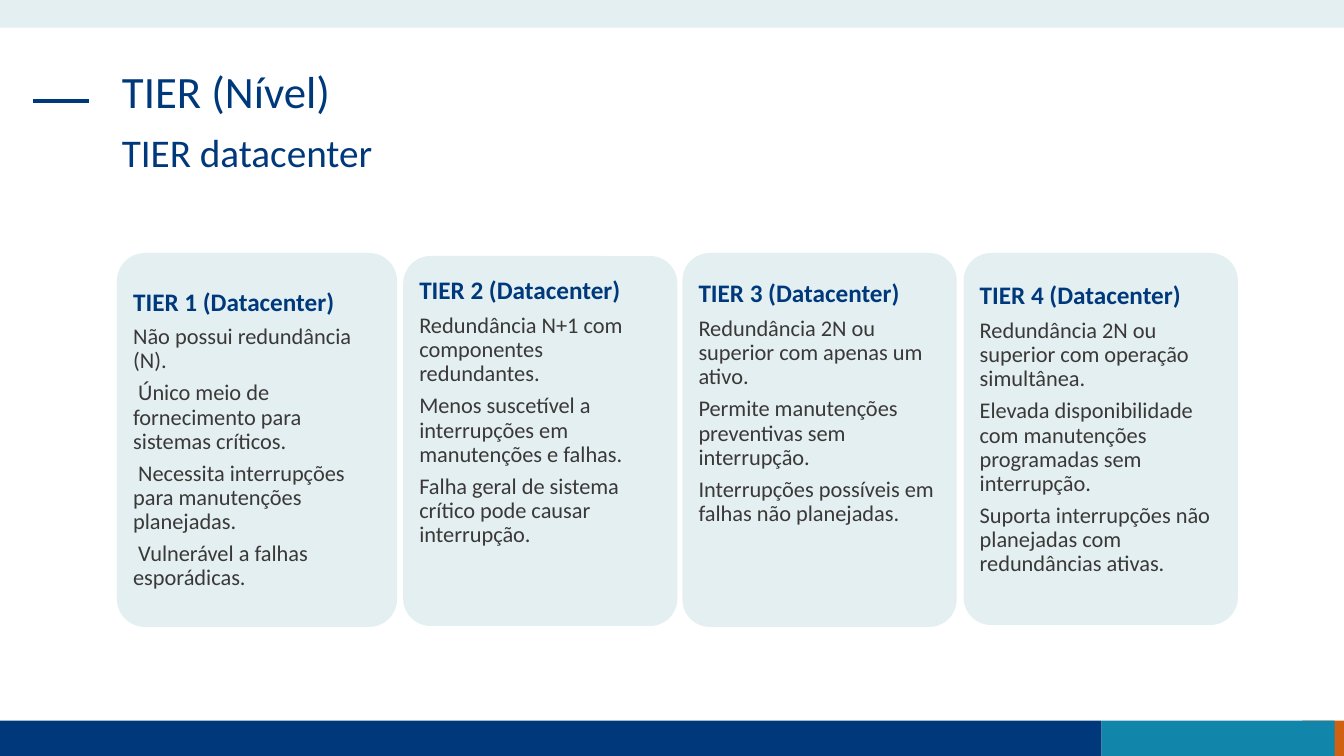
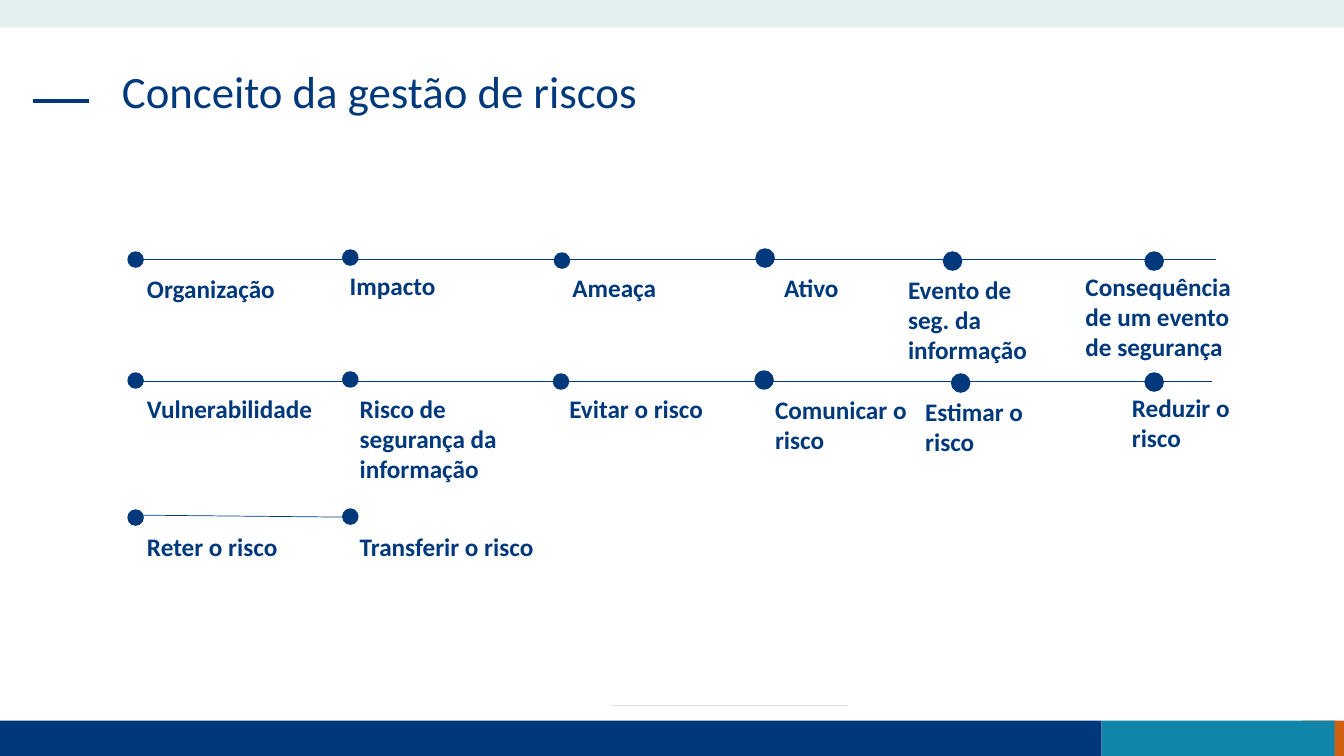
from dataclasses import dataclass
from typing import Any

import lxml.etree
import pptx
import pptx.dml.color
import pptx.enum.shapes
import pptx.enum.text
import pptx.oxml.ns
import pptx.util

# The grid has square cells of a tenth of an inch.
CELL = pptx.util.Inches(0.1)
COLUMNS, ROWS = 133.33, 75

COLORS = {
    "navy": "00397B",
    "teal": "1185AA",
    "orange": "D06110",
    "mist": "E3EFF1",
    "graphite": "3B3838",
    "rule": "DCE3EA",
}
FONT = "Calibri"
SHAPE = pptx.enum.shapes.MSO_SHAPE
ANCHOR = pptx.enum.text.MSO_ANCHOR
AUTO_SIZE = pptx.enum.text.MSO_AUTO_SIZE
LEFT = pptx.enum.text.PP_ALIGN.LEFT

HEADING_STYLE = {"line_spacing": 0.9, "alignment": LEFT}
LABEL_STYLE = {"alignment": LEFT}
CARD_INSETS = {"margin_left": 0.8 * CELL, "margin_right": 0.6 * CELL, "margin_top": 0}


@dataclass(frozen=True)
class Area:
    """A place on the grid, in columns and rows."""
    column: float
    row: float
    width: float
    height: float


@dataclass(frozen=True)
class Band:
    area: Area
    color: str


@dataclass(frozen=True)
class Tier:
    """A card whose text is raised above the middle by some rows."""
    heading: str
    points: tuple[str, ...]
    area: Area
    raised: float = 0
    first_line_indent: float = 0


@dataclass(frozen=True)
class Concept:
    label: str
    dot: tuple[float, float]
    label_at: tuple[float, float]
    label_width: float
    lines: int = 1
    dot_size: float = 1.5


@dataclass(frozen=True)
class Track:
    start: tuple[float, float]
    end: tuple[float, float]
    concepts: tuple[Concept, ...]


FOOTER_ROW, FOOTER_HEIGHT = 71.5, 3.5
BANDS = (
    Band(Area(129.2, FOOTER_ROW, 4.13, FOOTER_HEIGHT), "orange"),
    Band(Area(0, FOOTER_ROW, 109.3, FOOTER_HEIGHT), "navy"),
    Band(Area(109.3, FOOTER_ROW, 23.1, FOOTER_HEIGHT), "teal"),
    Band(Area(0, 0, COLUMNS, 2.75), "mist"),
)
TITLE_AREA = Area(11.1, 6.4, 111, 9.4)
SUBTITLE_AREA = Area(11.1, 12.8, 87.5, 5.9)

TIERS = (
    Tier("TIER 1 (Datacenter)", (
        "Não possui redundância (N).",
        "Único meio de fornecimento para sistemas críticos.",
        "Necessita interrupções para manutenções planejadas.",
        "Vulnerável a falhas esporádicas.",
    ), Area(11.6, 25.1, 27.8, 37.1), first_line_indent=0.5),
    Tier("TIER 2 (Datacenter)", (
        "Redundância N+1 com componentes redundantes.",
        "Menos suscetível a interrupções em manutenções e falhas.",
        "Falha geral de sistema crítico pode causar interrupção.",
    ), Area(40, 25.4, 27.2, 36.7), raised=2.8),
    Tier("TIER 3 (Datacenter)", (
        "Redundância 2N ou superior com apenas um ativo.",
        "Permite manutenções preventivas sem interrupção.",
        "Interrupções possíveis em falhas não planejadas.",
    ), Area(67.7, 25.1, 27.2, 37.1), raised=3.6),
    Tier("TIER 4 (Datacenter)", (
        "Redundância 2N ou superior com operação simultânea.",
        "Elevada disponibilidade com manutenções programadas sem interrupção.",
        "Suporta interrupções não planejadas com redundâncias ativas.",
    ), Area(95.6, 25.1, 27.2, 36.9), raised=0.9),
)

TRACKS = (
    Track((13.5, 25.7), (120.6, 25.7), (
        Concept("Organização", (12.7, 25), (13.6, 26.6), 24.8),
        Concept("Impacto", (34, 24.8), (33.7, 26.3), 12.2),
        Concept("Ameaça", (55, 25.1), (55.8, 26.5), 11.4),
        Concept("Ativo", (75, 24.7), (76.8, 26.5), 10.3, dot_size=1.8),
        Concept("Evento de seg. da informação", (93.6, 25), (89.1, 26.7), 15.8, 3, 1.8),
        Concept("Consequência de um evento de segurança", (113.6, 25), (106.7, 26.4),
                16.6, 3, 1.8),
    )),
    Track((13.1, 37.8), (120.2, 37.8), (
        Concept("Vulnerabilidade", (12.7, 37), (13.6, 38.5), 20.4),
        Concept("Risco de segurança da informação", (34, 36.9), (34.7, 38.5), 18.1, 3),
        Concept("Evitar o risco", (54.9, 37.1), (55.5, 38.5), 17),
        Concept("Comunicar o risco", (74.9, 36.8), (75.9, 38.6), 15.5, 2, 1.8),
        Concept("Estimar o risco", (94.4, 37.1), (90.8, 38.8), 17, 2, 1.8),
        Concept("Reduzir o risco", (113.6, 37), (111.3, 38.4), 11.9, 2, 1.8),
    )),
    Track((13.1, 51.1), (34, 51.3), (
        Concept("Reter o risco", (12.7, 50.6), (13.6, 52.2), 20.4),
        Concept("Transferir o risco", (34, 50.5), (34.7, 52.2), 20.2),
    )),
)


def cells(count: float) -> int:
    return round(count * CELL)


def rgb(color: str) -> Any:
    return pptx.dml.color.RGBColor.from_string(COLORS[color])


def apply(target: Any, values: dict[str, Any]) -> None:
    for attribute, value in values.items():
        setattr(target, attribute, value)


def box(area: Area) -> tuple[int, ...]:
    return tuple(map(cells, (area.column, area.row, area.width, area.height)))


def write(paragraph: Any, text: str, size: float, color: str,
          style: dict[str, Any], bold: bool = False) -> None:
    run = paragraph.add_run()
    run.text = text
    apply(paragraph, style)
    apply(run.font, {"name": FONT, "size": pptx.util.Pt(size), "bold": bold})
    run.font.color.rgb = rgb(color)


def draw_shape(slide: Any, kind: Any, area: Area, color: str) -> Any:
    shape = slide.shapes.add_shape(kind, *box(area))
    shape.shadow.inherit = False
    shape.fill.solid()
    shape.fill.fore_color.rgb = rgb(color)
    shape.line.fill.background()
    return shape


def draw_line(slide: Any, start: tuple[float, float], end: tuple[float, float],
              color: str, weight: float) -> None:
    line = slide.shapes.add_connector(
        pptx.enum.shapes.MSO_CONNECTOR.STRAIGHT, *map(cells, start + end))
    line.line.color.rgb = rgb(color)
    line.line.width = pptx.util.Pt(weight)
    lxml.etree.SubElement(line.element.spPr, pptx.oxml.ns.qn("a:effectLst"))


def draw_text(slide: Any, area: Area, text: str, size: float,
              style: dict[str, Any], bold: bool = False) -> Any:
    textbox = slide.shapes.add_textbox(*box(area))
    textbox.text_frame.word_wrap = True
    write(textbox.text_frame.paragraphs[0], text, size, "navy", style, bold)
    return textbox


def share_decoration(slide: Any) -> None:
    """Draw the bands and title dash, then hand them to the slide's layout."""
    for band in BANDS:
        draw_shape(slide, SHAPE.RECTANGLE, band.area, band.color)
    draw_line(slide, (3.3, 10), (8.8, 10), "navy", 3)
    for shape in list(slide.shapes):
        if not shape.is_placeholder:
            slide.slide_layout.shapes.element.append(shape.element)


def add_titled_slide(deck: Any, title: str) -> Any:
    slide = deck.slides.add_slide(deck.slide_layouts[5])
    heading = slide.shapes.title
    apply(heading, dict(zip(("left", "top", "width", "height"), box(TITLE_AREA))))
    apply(heading.text_frame, {
        "vertical_anchor": ANCHOR.TOP, "word_wrap": True, "auto_size": AUTO_SIZE.NONE})
    write(heading.text_frame.paragraphs[0], title, 32, "navy", HEADING_STYLE)
    return slide


def draw_tier(slide: Any, tier: Tier) -> None:
    card = draw_shape(slide, SHAPE.ROUNDED_RECTANGLE, tier.area, "mist")
    card.adjustments[0] = 0.1
    frame = card.text_frame
    insets = {side: round(inset) for side, inset in CARD_INSETS.items()}
    apply(frame, insets | {"margin_bottom": cells(2 * tier.raised),
                           "vertical_anchor": ANCHOR.MIDDLE, "word_wrap": True})
    write(frame.paragraphs[0], tier.heading, 18, "navy",
          HEADING_STYLE | {"space_after": pptx.util.Pt(6.3)}, bold=True)
    for number, point in enumerate(tier.points):
        paragraph = frame.add_paragraph()
        if number and tier.first_line_indent:
            properties = paragraph._p.get_or_add_pPr()
            properties.set("indent", str(cells(tier.first_line_indent)))
        write(paragraph, point, 16, "graphite",
              HEADING_STYLE | {"space_after": pptx.util.Pt(5.6)})


def draw_concept(slide: Any, concept: Concept) -> None:
    dot = draw_shape(slide, SHAPE.OVAL,
                     Area(*concept.dot, concept.dot_size, concept.dot_size), "navy")
    dot.line.color.rgb = rgb("navy")
    dot.line.width = pptx.util.Pt(1)
    area = Area(*concept.label_at, concept.label_width, 1 + 3.03 * concept.lines)
    label = draw_text(slide, area, concept.label, 18, LABEL_STYLE, bold=True)
    label.text_frame.auto_size = AUTO_SIZE.SHAPE_TO_FIT_TEXT


def build_tiers(deck: Any) -> None:
    slide = add_titled_slide(deck, "TIER (Nível)")
    share_decoration(slide)
    draw_text(slide, SUBTITLE_AREA, "TIER datacenter", 28, HEADING_STYLE)
    for tier in TIERS:
        draw_tier(slide, tier)


def build_risk_concepts(deck: Any) -> None:
    slide = add_titled_slide(deck, "Conceito da gestão de riscos")
    draw_line(slide, (60.6, 70), (84.1, 70), "rule", 0.5)
    for track in TRACKS:
        draw_line(slide, track.start, track.end, "navy", 0.5)
        for concept in track.concepts:
            draw_concept(slide, concept)


def main() -> None:
    deck = pptx.Presentation()
    apply(deck, {"slide_width": cells(COLUMNS), "slide_height": cells(ROWS)})
    build_tiers(deck)
    build_risk_concepts(deck)
    deck.save("out.pptx")


if __name__ == "__main__":
    main()
